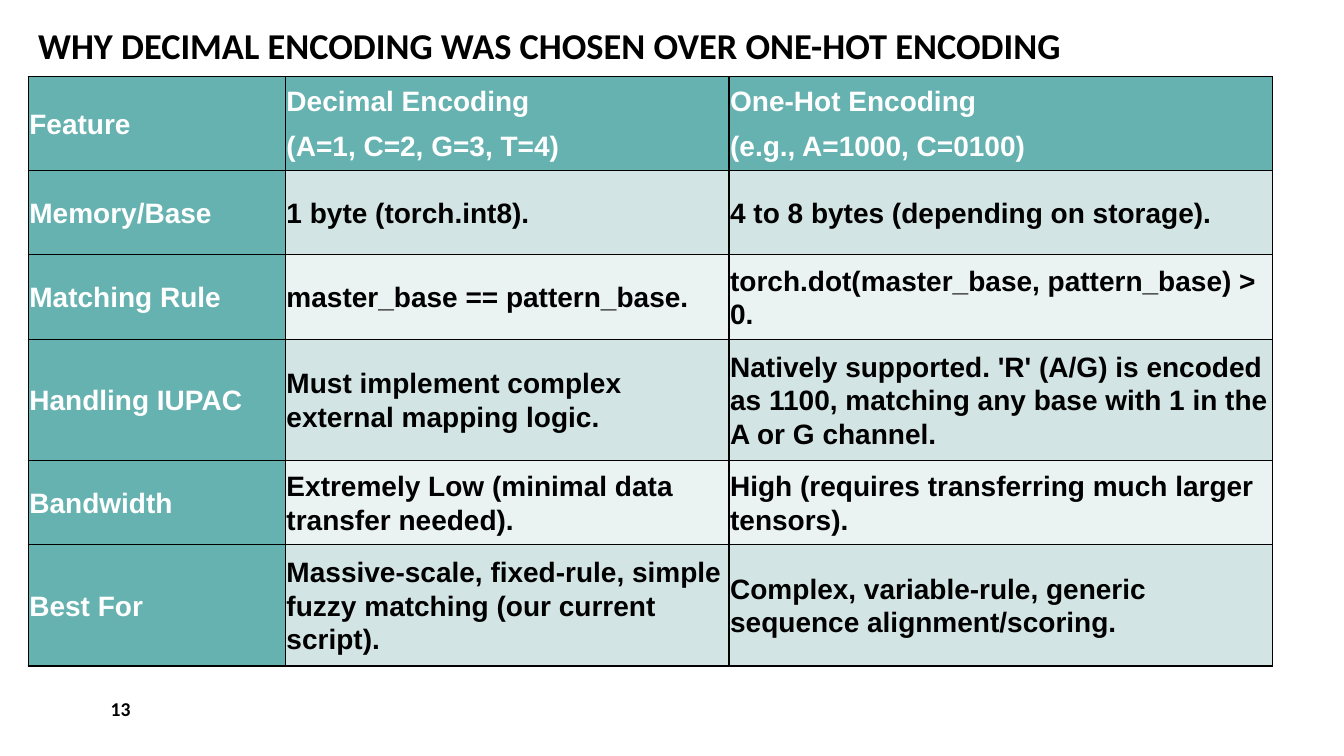
import pptx
import pptx.dml.color
import pptx.enum.text
import pptx.oxml
import pptx.oxml.ns
import pptx.util
from pptx.util import Cm

BLACK, WHITE, TEAL = "000000", "FFFFFF", "66B2B0"
BANDS = ("D3E4E4", "EAF2F2")
MIDDLE = pptx.enum.text.MSO_ANCHOR.MIDDLE
BOTTOM = pptx.enum.text.MSO_ANCHOR.BOTTOM

COLUMN_WIDTHS = (6.48, 11.18, 13.69)
ROW_HEIGHTS = (2.36, 2.13, 2.13, 3.05, 2.13, 3.05)
ROWS = (
    ("Feature", "Decimal Encoding\n(A=1, C=2, G=3, T=4)",
     "One-Hot Encoding\n(e.g., A=1000, C=0100)"),
    ("Memory/Base", "1 byte (torch.int8).",
     "4 to 8 bytes (depending on storage)."),
    ("Matching Rule", "master_base == pattern_base.",
     "torch.dot(master_base, pattern_base) > 0."),
    ("Handling IUPAC", "Must implement complex external mapping logic.",
     "Natively supported. 'R' (A/G) is encoded as 1100, "
     "matching any base with 1 in the A or G channel."),
    ("Bandwidth", "Extremely Low (minimal data transfer needed).",
     "High (requires transferring much larger tensors)."),
    ("Best For",
     "Massive-scale, fixed-rule, simple fuzzy matching (our current script).",
     "Complex, variable-rule, generic sequence alignment/scoring."),
)


def rgb(color):
    return pptx.dml.color.RGBColor.from_string(color)


def write(tf, text, *, size, font="Calibri", color=BLACK, spacing=1.0, after=0):
    """Fill a text frame with bold text, one paragraph per line."""
    for i, line in enumerate(text.split("\n")):
        p = tf.add_paragraph() if i else tf.paragraphs[0]
        p.line_spacing = spacing
        p.space_after = pptx.util.Pt(after)
        r = p.add_run()
        r.text = line
        r.font.name = font
        r.font.size = pptx.util.Pt(size)
        r.font.bold = True
        r.font.color.rgb = rgb(color)


def add_text(slide, text, left, top, width, height, *, anchor, **style):
    sp = slide.shapes.add_textbox(Cm(left), Cm(top), Cm(width), Cm(height))
    tf = sp.text_frame
    tf.word_wrap = True
    tf.vertical_anchor = anchor
    write(tf, text, **style)


def add_borders(cell, color=BLACK, points=1):
    tc_pr = cell._tc.get_or_add_tcPr()
    for i, side in enumerate(("lnL", "lnR", "lnT", "lnB")):
        line = pptx.oxml.parse_xml(
            f'<a:{side} {pptx.oxml.ns.nsdecls("a")} w="{pptx.util.Pt(points)}">'
            f'<a:solidFill><a:srgbClr val="{color}"/></a:solidFill></a:{side}>')
        tc_pr.insert(i, line)


def format_cell(cell, text, *, fill, color):
    cell.margin_left = cell.margin_right = Cm(0.03)
    cell.margin_top = cell.margin_bottom = Cm(0.03)
    cell.vertical_anchor = MIDDLE
    cell.fill.solid()
    cell.fill.fore_color.rgb = rgb(fill)
    add_borders(cell)
    write(cell.text_frame, text, size=20, font="Arial", color=color,
          spacing=1.07, after=8)


def add_comparison_table(slide, left, top):
    table = slide.shapes.add_table(
        len(ROWS), len(COLUMN_WIDTHS), Cm(left), Cm(top),
        Cm(sum(COLUMN_WIDTHS)), Cm(sum(ROW_HEIGHTS))).table
    for column, width in zip(table.columns, COLUMN_WIDTHS):
        column.width = Cm(width)
    for row, height in zip(table.rows, ROW_HEIGHTS):
        row.height = Cm(height)
    for i, texts in enumerate(ROWS):
        for j, text in enumerate(texts):
            is_header = i == 0 or j == 0
            format_cell(table.cell(i, j), text,
                        fill=TEAL if is_header else BANDS[(i - 1) % 2],
                        color=WHITE if is_header else BLACK)


def main():
    prs = pptx.Presentation()
    prs.slide_width, prs.slide_height = Cm(33.87), Cm(19.05)
    slide = prs.slides.add_slide(prs.slide_layouts[6])
    add_text(slide, "WHY DECIMAL ENCODING WAS CHOSEN OVER ONE-HOT ENCODING",
             0.71, 0, 34.77, 1.83, anchor=BOTTOM, size=26, spacing=0.9)
    add_text(slide, "13", 2.54, 17.35, 7.42, 1.02, anchor=MIDDLE, size=14, after=6)
    add_comparison_table(slide, 0.71, 1.93)
    prs.save("out.pptx")


if __name__ == "__main__":
    main()
